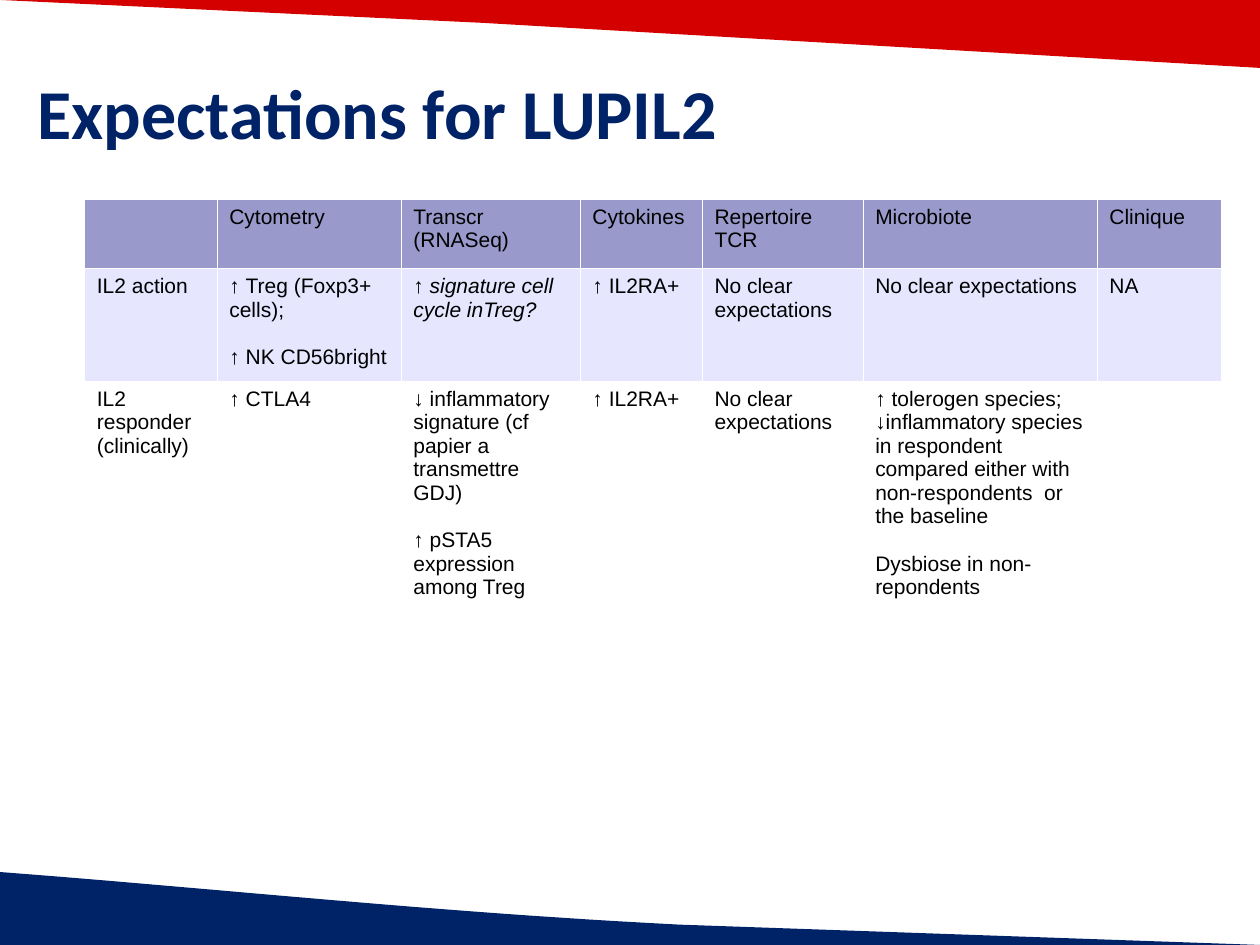
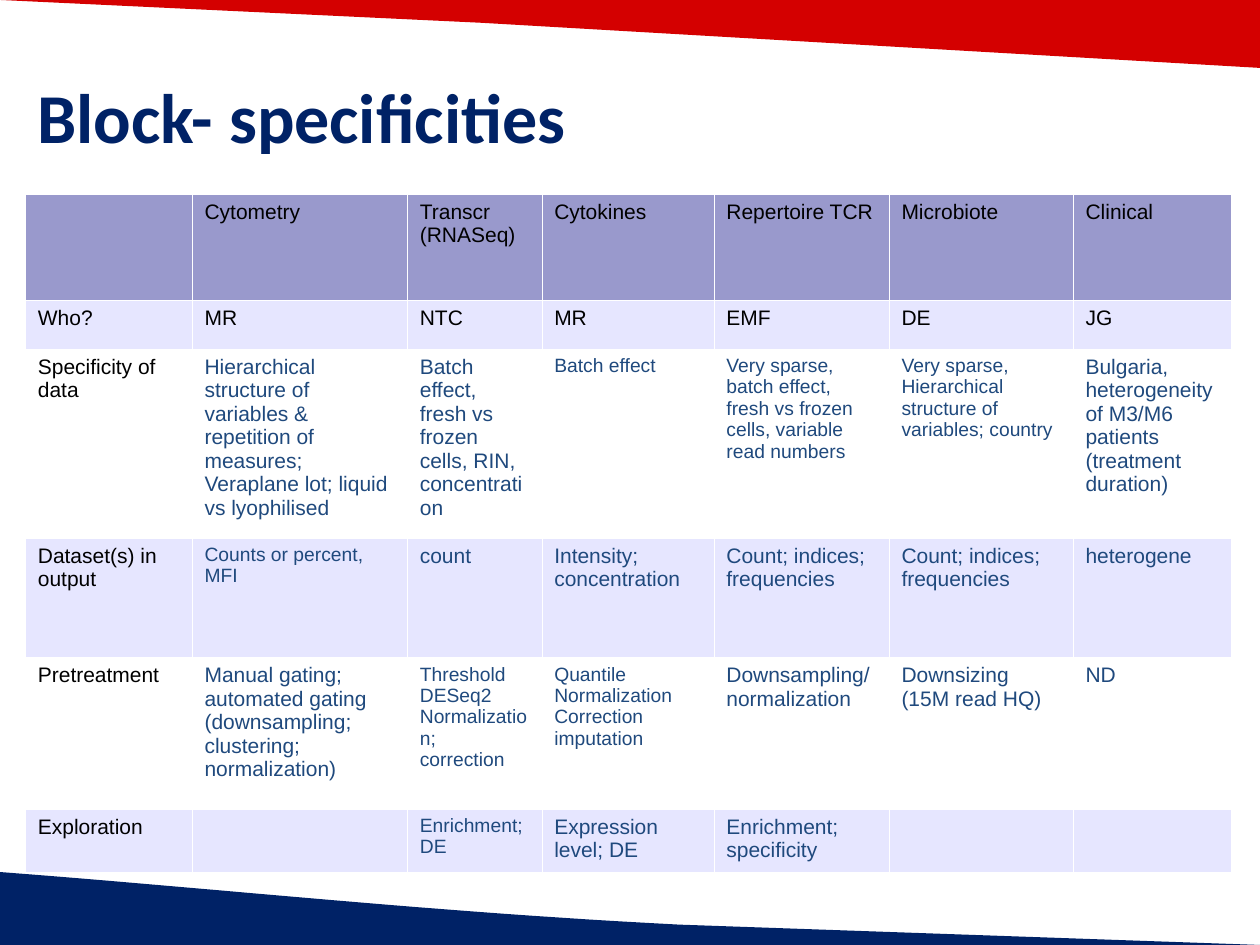
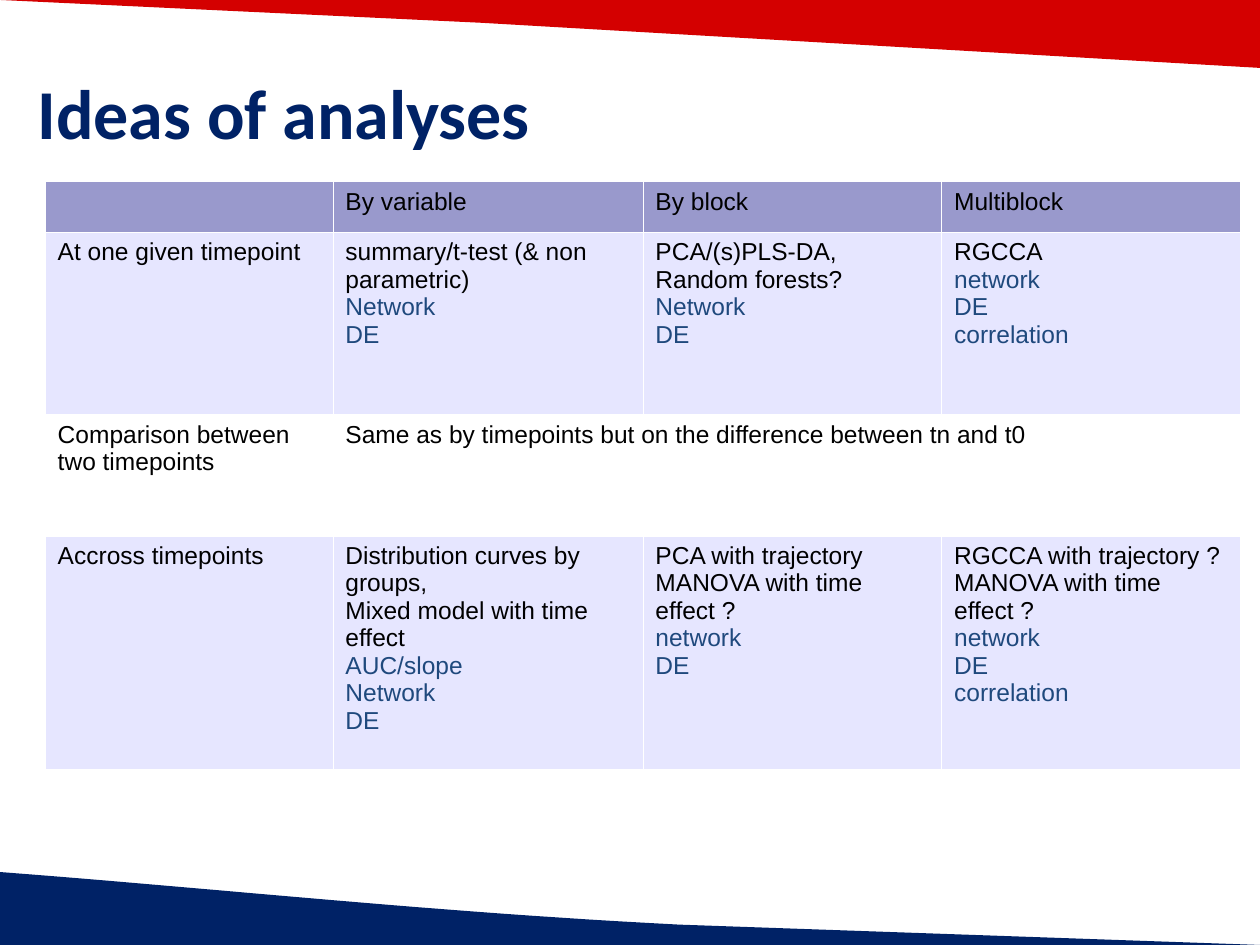
from dataclasses import dataclass
from typing import NamedTuple, Union

from lxml import etree
from pptx import Presentation
from pptx.dml.color import RGBColor
from pptx.enum.text import MSO_ANCHOR
from pptx.oxml.ns import qn
from pptx.util import Cm, Pt

MIDDLE = MSO_ANCHOR.MIDDLE

NAVY = "002266"
RED = "D40000"
BLACK = "000000"
BLUE = "1F497D"
WHITE = "FFFFFF"
HEADER = "9999CC"
BANDED = "E6E6FF"

SLIDE_WIDTH = 25.4
SLIDE_HEIGHT = 19.05
CURVE_STEPS = 24
BORDER_WIDTH = Pt(0.06)
BORDER_SIDES = ("a:lnL", "a:lnR", "a:lnT", "a:lnB")
UP = "↑ "


class Point(NamedTuple):
    x: float
    y: float


class Line(NamedTuple):
    text: str
    lead: str = ""
    italic: bool = False
    color: str = BLACK
    size: float | None = None
    gap: bool = False


Entry = Union[str, Line]
CellContent = Union[Entry, list[Entry]]


@dataclass(frozen=True)
class Band:
    color: str
    outline: list[Point]


@dataclass(frozen=True)
class Grid:
    left: float
    top: float
    columns: list[float]
    rows: list[float]
    size: float
    contents: list[list[CellContent]]
    merged: tuple[int, int, int] | None = None


@dataclass(frozen=True)
class Page:
    title: str
    grid: Grid
    title_top: float = 1.32


def rgb(color: str) -> RGBColor:
    return RGBColor.from_string(color)


def blue(text: str, size: float | None = None) -> Line:
    return Line(text, color=BLUE, size=size)


def blues(*texts: str, size: float | None = None) -> list[Entry]:
    return [blue(text, size) for text in texts]


def rising(text: str, gap: bool = False) -> Line:
    return Line(text, lead=UP, gap=gap)


def curve(start: Point, pull_a: Point, pull_b: Point, end: Point) -> list[Point]:
    points = []
    for step in range(CURVE_STEPS + 1):
        t = step / CURVE_STEPS
        u = 1 - t
        weights = (u**3, 3 * u * u * t, 3 * u * t * t, t**3)
        anchors = (start, pull_a, pull_b, end)
        points.append(Point(
            sum(w * p.x for w, p in zip(weights, anchors)),
            sum(w * p.y for w, p in zip(weights, anchors)),
        ))
    return points


BANDS = [
    Band(NAVY, [
        *curve(Point(0, 17.58), Point(4.57, 17.93), Point(8.76, 18.39), Point(13.69, 18.64)),
        Point(SLIDE_WIDTH, SLIDE_HEIGHT),
        Point(0, SLIDE_HEIGHT),
    ]),
    Band(RED, [
        Point(0, 0),
        Point(SLIDE_WIDTH, 0),
        Point(SLIDE_WIDTH, 1.37),
        Point(9.7, 0.46),
    ]),
]

PAGES = [
    Page("Expectations for LUPIL2", Grid(
        left=1.7,
        top=4.01,
        columns=[2.67, 3.71, 3.61, 2.46, 3.24, 4.72, 2.51],
        rows=[1.4, 2.16, 4.95],
        size=12,
        contents=[
            ["", "Cytometry", ["Transcr", "(RNASeq)"], "Cytokines",
             "Repertoire TCR", "Microbiote", "Clinique"],
            ["IL2 action",
             [rising("Treg (Foxp3+ cells);"), rising("NK CD56bright", gap=True)],
             Line("↑ signature cell cycle inTreg?", italic=True),
             rising("IL2RA+"),
             "No clear expectations", "No clear expectations", "NA"],
            ["IL2 responder (clinically)",
             rising("CTLA4"),
             ["↓ inflammatory signature (cf papier a transmettre GDJ)",
              rising("pSTA5 expression among Treg", gap=True)],
             rising("IL2RA+"),
             "No clear expectations",
             [rising("tolerogen species;"),
              "↓inflammatory species in respondent compared either with "
              "non-respondents  or the baseline",
              Line("Dysbiose in non-repondents", gap=True)],
             ""],
        ],
    )),
    Page("Block- specificities", title_top=1.4, grid=Grid(
        left=0.51,
        top=3.91,
        columns=[3.36, 4.34, 2.71, 3.47, 3.53, 3.71, 3.18],
        rows=[2.13, 0.99, 3.58, 2.41, 3.05, 1.22],
        size=12,
        contents=[
            ["", "Cytometry", ["Transcr", "(RNASeq)"], "Cytokines",
             "Repertoire TCR", "Microbiote", "Clinical"],
            ["Who?", "MR", "NTC", "MR", "EMF", "DE", "JG"],
            ["Specificity of data",
             blues("Hierarchical structure of variables & repetition of measures;",
                   "Veraplane lot; liquid vs lyophilised"),
             blue("Batch effect, fresh vs frozen cells, RIN, concentration"),
             blue("Batch effect", 11),
             blue("Very sparse, batch effect, fresh vs frozen cells, "
                  "variable read numbers", 11),
             blue("Very sparse, Hierarchical structure of variables; country", 11),
             blue("Bulgaria, heterogeneity of M3/M6 patients (treatment duration)")],
            ["Dataset(s) in output",
             blue("Counts or percent, MFI", 11),
             blue("count"),
             blue("Intensity; concentration"),
             blue("Count; indices; frequencies"),
             blue("Count; indices; frequencies"),
             blue("heterogene")],
            ["Pretreatment",
             blue("Manual gating; automated gating "
                  "(downsampling; clustering; normalization)"),
             blues("Threshold", "DESeq2", "Normalization;", "correction", size=11),
             blues("Quantile", "Normalization", "Correction", "imputation", size=11),
             blue("Downsampling/normalization"),
             blue("Downsizing (15M read HQ)"),
             blue("ND")],
            ["Exploration", "",
             blue("Enrichment; DE", 11),
             blue("Expression level; DE"),
             blue("Enrichment; specificity"),
             "", ""],
        ],
    )),
    Page("Ideas of analyses", Grid(
        left=0.91,
        top=3.66,
        columns=[5.8, 6.25, 6.02, 6.02],
        rows=[0.99, 3.68, 2.44, 4.7],
        size=14,
        merged=(2, 1, 3),
        contents=[
            ["", "By variable", "By block", "Multiblock"],
            ["At one given timepoint",
             ["summary/t-test (& non parametric)", *blues("Network", "DE")],
             ["PCA/(s)PLS-DA,", "Random forests?", *blues("Network", "DE")],
             ["RGCCA", *blues("network", "DE", "correlation")]],
            ["Comparison between two timepoints",
             "Same as by timepoints but on the difference between tn and t0", "", ""],
            ["Accross timepoints",
             ["Distribution curves by groups,", "Mixed model with time effect",
              *blues("AUC/slope", "Network", "DE")],
             ["PCA with trajectory", "MANOVA with time effect ?",
              *blues("network", "DE")],
             ["RGCCA with trajectory ?", "MANOVA with time effect ?",
              *blues("network", "DE", "correlation")]],
        ],
    )),
]


def write(paragraph, text: str, *, size: float, color: str = BLACK, font: str = "Arial",
          bold: bool = False, italic: bool = False) -> None:
    run = paragraph.add_run()
    run.text = text
    run.font.name = font
    run.font.size = Pt(size)
    run.font.bold = bold
    run.font.italic = italic
    run.font.color.rgb = rgb(color)


def draw_band(slide, band: Band) -> None:
    start, *others = [(Cm(point.x), Cm(point.y)) for point in band.outline]
    builder = slide.shapes.build_freeform(*start)
    builder.add_line_segments(others, close=True)
    shape = builder.convert_to_shape()
    shape.shadow.inherit = False
    shape.fill.solid()
    shape.fill.fore_color.rgb = rgb(band.color)
    shape.line.fill.background()


def draw_title(slide, page: Page) -> None:
    title = slide.shapes.add_textbox(Cm(0.51), Cm(page.title_top), Cm(21.89), Cm(2.08))
    frame = title.text_frame
    frame.word_wrap = True
    frame.vertical_anchor = MIDDLE
    paragraph = frame.paragraphs[0]
    paragraph.line_spacing = 0.9
    write(paragraph, page.title, size=40, color=NAVY, font="Calibri", bold=True)


def style_cell(cell, color: str) -> None:
    properties = cell._tc.get_or_add_tcPr()
    for side in BORDER_SIDES:
        border = etree.SubElement(properties, qn(side), w=str(BORDER_WIDTH))
        fill = etree.SubElement(border, qn("a:solidFill"))
        etree.SubElement(fill, qn("a:srgbClr"), val=WHITE)
    cell.fill.solid()
    cell.fill.fore_color.rgb = rgb(color)


def fill_cell(cell, content: CellContent, size: float) -> None:
    entries = content if isinstance(content, list) else [content]
    for index, entry in enumerate(entries):
        line = Line(entry) if isinstance(entry, str) else entry
        if not line.text:
            continue
        frame = cell.text_frame
        paragraph = frame.add_paragraph() if index else frame.paragraphs[0]
        line_size = line.size or size
        if line.gap:
            paragraph.space_before = Pt(line_size * 1.15)
        if line.lead:
            write(paragraph, line.lead, size=line_size, color=line.color, italic=True)
        write(paragraph, line.text, size=line_size, color=line.color, italic=line.italic)


def row_color(row: int) -> str:
    if row == 0:
        return HEADER
    return BANDED if row % 2 else WHITE


def draw_grid(slide, grid: Grid) -> None:
    table = slide.shapes.add_table(
        len(grid.rows), len(grid.columns), Cm(grid.left), Cm(grid.top),
        Cm(sum(grid.columns)), Cm(sum(grid.rows)),
    ).table
    table.first_row = False
    table.horz_banding = False
    for column, width in zip(table.columns, grid.columns):
        column.width = Cm(width)
    for row, height in zip(table.rows, grid.rows):
        row.height = Cm(height)
    for row, contents in enumerate(grid.contents):
        for column, content in enumerate(contents):
            cell = table.cell(row, column)
            style_cell(cell, row_color(row))
            fill_cell(cell, content, grid.size)
    if grid.merged:
        row, first, last = grid.merged
        table.cell(row, first).merge(table.cell(row, last))


def main() -> None:
    deck = Presentation()
    deck.slide_width = Cm(SLIDE_WIDTH)
    deck.slide_height = Cm(SLIDE_HEIGHT)
    blank = deck.slide_layouts[6]
    for page in PAGES:
        slide = deck.slides.add_slide(blank)
        for band in BANDS:
            draw_band(slide, band)
        draw_title(slide, page)
        draw_grid(slide, page.grid)
    deck.save("out.pptx")


if __name__ == "__main__":
    main()
